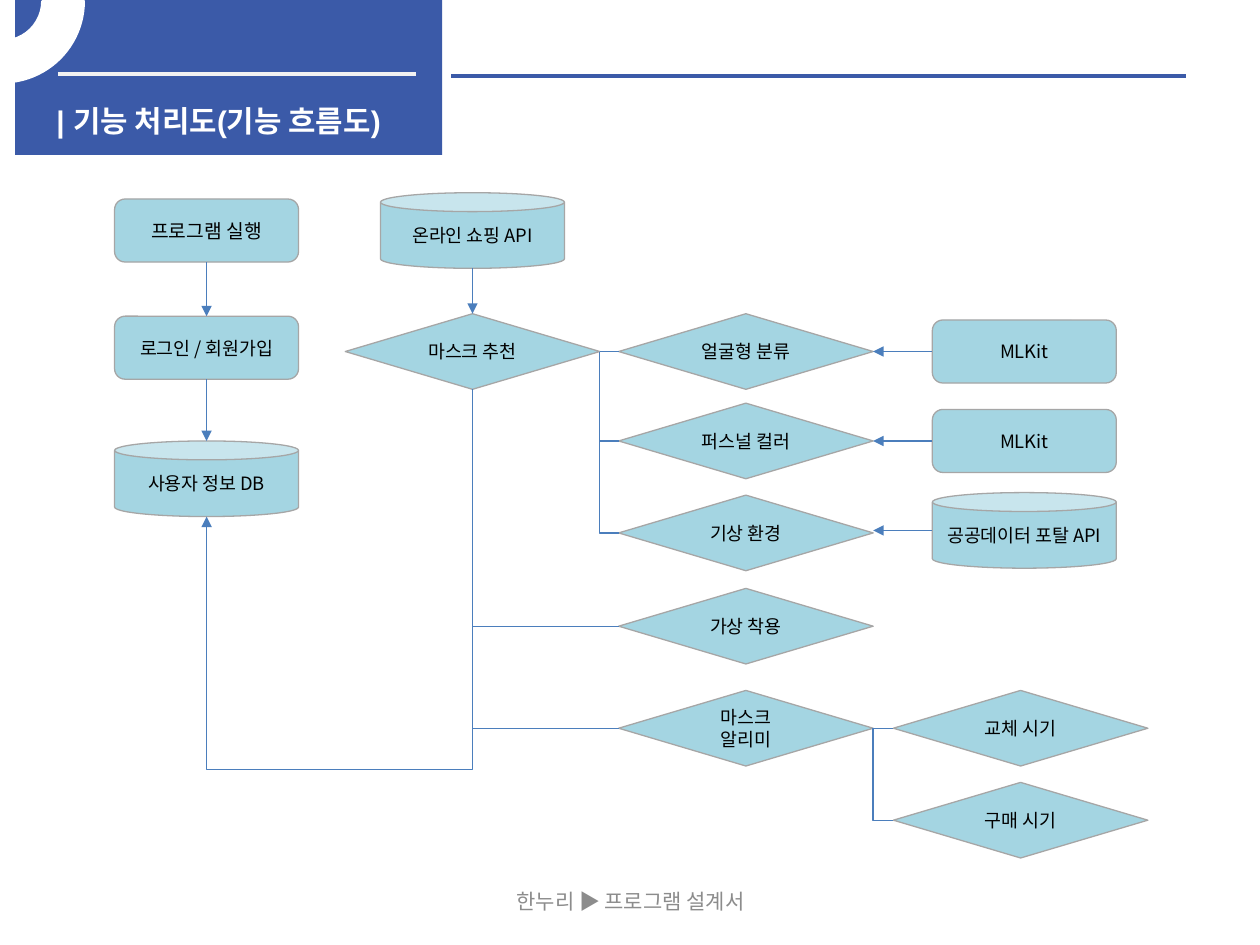
from pptx import Presentation
from pptx.dml.color import RGBColor
from pptx.enum.shapes import MSO_CONNECTOR, MSO_SHAPE
from pptx.enum.text import MSO_ANCHOR, PP_ALIGN
from pptx.oxml.ns import qn
from pptx.util import Inches, Pt
from lxml.etree import SubElement

KOREAN = "Noto Sans CJK KR"
NAVY, LINK = "3B5AA8", "4B7EBC"


def write(shape, lines, size, color, font=KOREAN, bold=False, align=PP_ALIGN.CENTER):
    frame = shape.text_frame
    frame.word_wrap = True
    frame.vertical_anchor = MSO_ANCHOR.MIDDLE
    for index, line in enumerate(lines):
        paragraph = frame.add_paragraph() if index else frame.paragraphs[0]
        paragraph.alignment = align
        run = paragraph.add_run()
        run.text = line
        run.font.size, run.font.bold, run.font.name = Pt(size), bold, font
        run.font.color.rgb = RGBColor.from_string(color)
        SubElement(run.font._element, qn("a:ea")).set("typeface", KOREAN)


def connect(start, end, color=LINK, width=0.75, arrow=False, bend=None):
    kind = MSO_CONNECTOR.STRAIGHT if bend is None else MSO_CONNECTOR.ELBOW
    line = slide.shapes.add_connector(kind, *map(Inches, start + end))
    line.line.color.rgb = RGBColor.from_string(color)
    line.line.width = Pt(width)
    properties = line._element.spPr
    if arrow:
        SubElement(properties.find(qn("a:ln")), qn("a:tailEnd")).set("type", "triangle")
    SubElement(properties, qn("a:effectLst"))
    if bend is not None:
        guide = SubElement(properties.find(qn("a:prstGeom")).find(qn("a:avLst")), qn("a:gd"))
        guide.set("name", "adj1")
        guide.set("fmla", f"val {round(bend * 100000)}")
    return line


presentation = Presentation()
presentation.slide_width, presentation.slide_height = Inches(10), Inches(7.5)
slide = presentation.slides.add_slide(presentation.slide_layouts[6])

# Title block with its rules and corner ring
banner = slide.shapes.add_shape(
    MSO_SHAPE.RECTANGLE, Inches(0.12), 0, Inches(3.39), Inches(1.23))
banner.shadow.inherit = False
banner.fill.solid()
banner.fill.fore_color.rgb = RGBColor.from_string(NAVY)
banner.line.fill.background()
connect((0.46, 0.59), (3.3, 0.59), "F2F2F2", 2.25)
connect((3.58, 0.6), (9.41, 0.6), NAVY, 2.25)
title = slide.shapes.add_textbox(Inches(0.35), Inches(0.76), Inches(3.3), Inches(0.4))
write(title, ["| 기능 처리도(기능 흐름도)"], 17, "FFFFFF", "Arial", True, PP_ALIGN.LEFT)

ring = slide.shapes.add_shape(
    MSO_SHAPE.BLOCK_ARC, Inches(-0.63), Inches(-0.63), Inches(1.29), Inches(1.28))
ring.shadow.inherit = False
for index, value in enumerate((161.59, 0, 0.25)):
    ring.adjustments[index] = value
ring._element.spPr.xfrm.set("flipV", "1")
ring.fill.solid()
ring.fill.fore_color.rgb = RGBColor.from_string("FFFFFF")
ring.line.color.rgb = RGBColor.from_string("FFFFFF")
ring.line.width = Pt(2)

# Footer
footer = slide.shapes.add_textbox(Inches(3.42), Inches(6.95), Inches(3.17), Inches(0.4))
write(footer, ["한누리 ▶ 프로그램 설계서"], 12, "8C8C8C")

# Flowchart grid: column centres, row centres, and a size for each kind of node
USER, MASK, FEATURE, SOURCE, TIMING = 1.64, 3.75, 5.92, 8.13, 8.1
ROWS = (1.83, 2.79, 3.5, 4.23, 4.97, 5.78, 6.51)
STEP = (MSO_SHAPE.ROUNDED_RECTANGLE, 1.46, 0.5)
STORE = (MSO_SHAPE.CAN, 1.46, 0.6)
CHOICE = (MSO_SHAPE.FLOWCHART_DECISION, 2.02, 0.6)
LOGIN_ROW, DATABASE_ROW, PORTAL_ROW = 2.76, 3.8, 4.21

nodes = [
    (STEP, USER, ROWS[0], ["프로그램 실행"]),
    (STEP, USER, LOGIN_ROW, ["로그인 / 회원가입"]),
    (STORE, USER, DATABASE_ROW, ["사용자 정보 DB"]),
    (STORE, MASK, ROWS[0], ["온라인 쇼핑 API"]),
    (CHOICE, MASK, ROWS[1], ["마스크 추천"]),
    (CHOICE, FEATURE, ROWS[1], ["얼굴형 분류"]),
    (CHOICE, FEATURE, ROWS[2], ["퍼스널 컬러"]),
    (CHOICE, FEATURE, ROWS[3], ["기상 환경"]),
    (CHOICE, FEATURE, ROWS[4], ["가상 착용"]),
    (CHOICE, FEATURE, ROWS[5], ["마스크", "알리미"]),
    (STEP, SOURCE, ROWS[1], ["MLKit"]),
    (STEP, SOURCE, ROWS[2], ["MLKit"]),
    (STORE, SOURCE, PORTAL_ROW, ["공공데이터 포탈 API"]),
    (CHOICE, TIMING, ROWS[5], ["교체 시기"]),
    (CHOICE, TIMING, ROWS[6], ["구매 시기"]),
]
for (kind, width, height), x, y, lines in nodes:
    node = slide.shapes.add_shape(
        kind, Inches(x - width / 2), Inches(y - height / 2), Inches(width), Inches(height))
    node.shadow.inherit = False
    node.fill.solid()
    node.fill.fore_color.rgb = RGBColor.from_string("4BACC6")
    fill_color = node._element.spPr.find(qn("a:solidFill"))[0]
    SubElement(fill_color, qn("a:alpha")).set("val", "50000")
    node.line.color.rgb = RGBColor.from_string("A6A6A6")
    node.line.width = Pt(0.75)
    write(node, lines, 11 if lines == ["프로그램 실행"] else 10.5, "000000")

# Downward arrows in the first two columns
for x, top, bottom in ((USER, 2.08, 2.51), (USER, 3.01, 3.5), (MASK, 2.13, 2.49)):
    connect((x, top), (x, bottom), arrow=True)

# Arrows from the data sources into the features
for y in (ROWS[1], ROWS[2], PORTAL_ROW):
    connect((SOURCE - 0.73, y), (FEATURE + 1.01, y), arrow=True)

# Branches from the decisions to the next column
mask_tip, feature_left = MASK + 1.01, FEATURE - 1.01
alarm_tip, timing_left = FEATURE + 1.01, TIMING - 1.01
connect((mask_tip, ROWS[1]), (feature_left, ROWS[1]))
connect((alarm_tip, ROWS[5]), (timing_left, ROWS[5]))
for y in ROWS[2:4]:
    connect((mask_tip, ROWS[1]), (feature_left, y), bend=0)
connect((alarm_tip, ROWS[5]), (timing_left, ROWS[6]), bend=0)
for y in ROWS[4:6]:
    connect((feature_left, y), (MASK, y))

# Return path from the recommendation to the user database
return_path = connect((2.19, 2.54), (3.2, 4.65), arrow=True, bend=2.99)
return_path._element.spPr.xfrm.set("rot", str(90 * 60000))

presentation.save("out.pptx")
